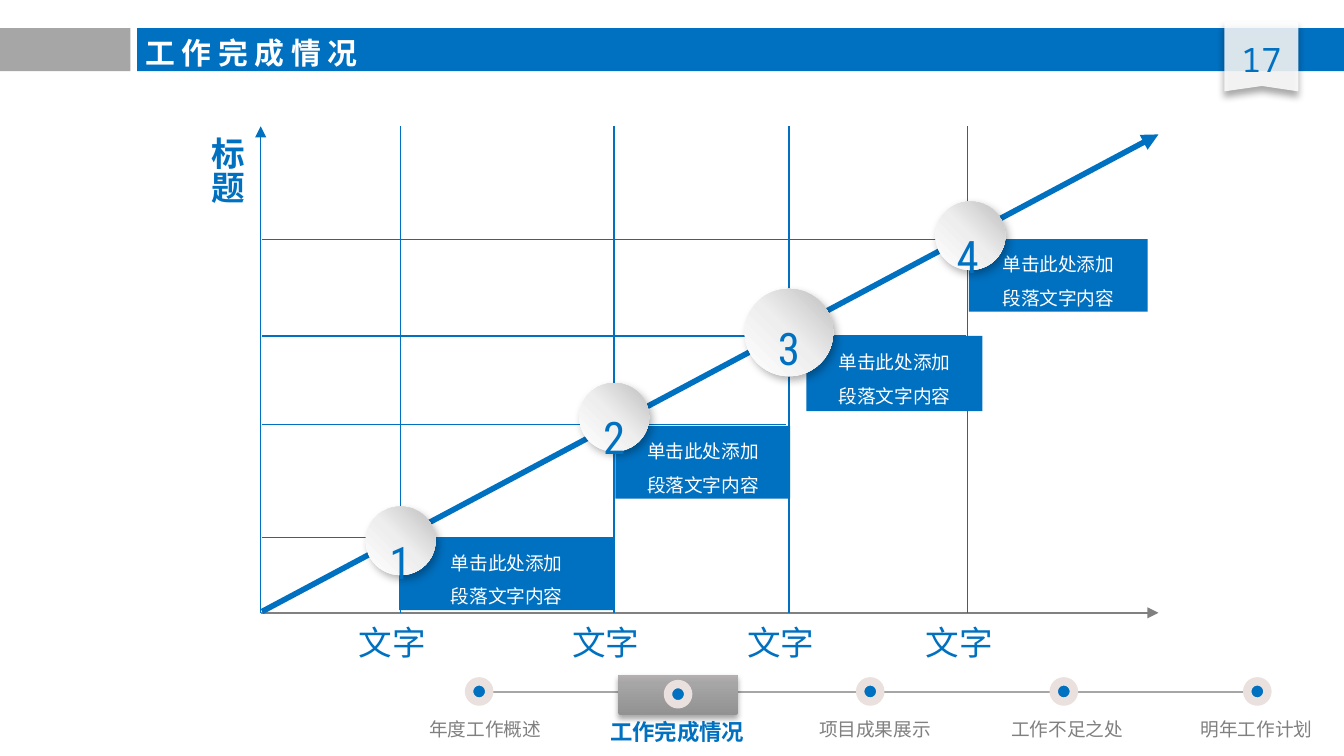
from lxml import etree
from pptx import Presentation
from pptx.dml.color import RGBColor
from pptx.enum import shapes, text
from pptx.oxml import parse_xml
from pptx.oxml.ns import nsdecls, qn
from pptx.util import Emu, Pt

SCALE = 9144
BLUE = RGBColor(0x00, 0x70, 0xC0)
GRAY = RGBColor(0xA6, 0xA6, 0xA6)
DARK = RGBColor(0x80, 0x80, 0x80)
RING = RGBColor(0xEA, 0xE0, 0xDE)
WHITE = RGBColor(0xFF, 0xFF, 0xFF)
BALL = ((0, "FFFFFF"), (50, "EEEEEE"), (100, "BFBFBF"))
STEEL = ((0, "939292"), (80, "A6A6A7"), (100, "B6B0B2"))
CJK = "Noto Sans CJK SC"
ROBOTO = "Roboto Condensed"
SHAPE = shapes.MSO_SHAPE
ALIGN = text.PP_ALIGN
ANCHOR = text.MSO_ANCHOR

STEPS = (
    ("1", 298, 456, 400, (297, 400, 160, 54), (272, 377, 52, 51), 393),
    ("2", 457, 585, 316, (458, 317, 130, 54), (431, 285, 52, 51), 300),
    ("3", 587, 719, 250, (600, 250, 131, 56), (554, 215, 66, 65), 234),
    ("4", 720, 850, 178, (721, 178, 133, 54), (696, 150, 52, 51), 165),
)
STATIONS = (
    ("年度工作概述", 357, 361),
    ("工作完成情况", 505, 504),
    ("项目成果展示", 648, 651),
    ("工作不足之处", 792, 794),
    ("明年工作计划", 936, 935),
)


def px(n):
    """Turn px into EMU."""
    return Emu(n * SCALE)


def shape(s, kind, box, fill=None):
    """Add a preset shape without outline or shadow."""
    sp = s.shapes.add_shape(kind, *map(px, box))
    sp.shadow.inherit = False
    sp.line.fill.background()
    if fill is not None:
        sp.fill.solid()
        sp.fill.fore_color.rgb = fill
    return sp


def gradient(sp, stops, angle):
    """Give a shape a linear gradient fill."""
    gs = "".join(f'<a:gs pos="{pos * 1000}"><a:srgbClr val="{c}"/></a:gs>' for pos, c in stops)
    sp.element.spPr.find(qn("a:prstGeom")).addnext(parse_xml(
        f'<a:gradFill {nsdecls("a")} rotWithShape="1"><a:gsLst>{gs}</a:gsLst>'
        f'<a:lin ang="{angle * 60000}" scaled="0"/></a:gradFill>'))


def shadow(sp, alpha, blur, dist, angle):
    """Give a shape a black outer shadow."""
    effects = sp.element.spPr.find(qn("a:effectLst"))
    effects.append(parse_xml(
        f'<a:outerShdw {nsdecls("a")} blurRad="{Pt(blur)}" dist="{Pt(dist)}" '
        f'dir="{angle * 60000}" algn="ctr" rotWithShape="0"><a:srgbClr val="000000">'
        f'<a:alpha val="{alpha * 1000}"/></a:srgbClr></a:outerShdw>'))


def line(s, start, end, color=BLUE, width=0.75, arrow=False):
    """Add a straight line, with an arrowhead at its end if wanted."""
    c = s.shapes.add_connector(shapes.MSO_CONNECTOR.STRAIGHT, *map(px, (*start, *end)))
    c.line.color.rgb = color
    c.line.width = Pt(width)
    if arrow:
        etree.SubElement(c.element.spPr.find(qn("a:ln")), qn("a:tailEnd"), type="triangle")
    etree.SubElement(c.element.spPr, qn("a:effectLst"))


def write(sp, words, size, color, font=CJK, bold=False, align=ALIGN.CENTER, spacing=None):
    """Fill a shape with formatted text."""
    tf = sp.text_frame
    tf.text = words
    for p in tf.paragraphs:
        p.alignment = align
        if spacing:
            p.line_spacing = spacing
        for r in p.runs:
            r.font.size = Pt(size)
            r.font.bold = bold
            r.font.name = font
            r.font.color.rgb = color
            etree.SubElement(r.font._element, qn("a:ea"), typeface=CJK)
    return tf


def label(s, box, words, size, color, wrap=True, inset=(10, 5), **style):
    """Add a text box."""
    sp = s.shapes.add_textbox(*map(px, box))
    tf = write(sp, words, size, color, **style)
    tf.word_wrap = wrap
    tf.margin_left = tf.margin_right = px(inset[0])
    tf.margin_top = tf.margin_bottom = px(inset[1])
    return tf


def header(s, box, words, number):
    """Draw the title band with its page ribbon."""
    x, y, w, h = box
    bands = (shape(s, SHAPE.RECTANGLE, (x, y, 97, h), GRAY),
             shape(s, SHAPE.RECTANGLE, (x + 102, y, w - 102, h), BLUE))
    title = s.shapes.title
    for band in bands:
        title.element.addprevious(band.element)
    title.left, title.top, title.width, title.height = map(px, (x + 98, y, 228, 37))
    tf = write(title, words, 16, WHITE, font="Calibri", bold=True, align=ALIGN.LEFT)
    tf.auto_size = text.MSO_AUTO_SIZE.NONE
    tf.vertical_anchor = ANCHOR.MIDDLE

    left, top, right, bottom = x + 911, y - 5, x + 966, y + 47
    fb = s.shapes.build_freeform(left, bottom, scale=SCALE)
    fb.add_line_segments(((left, top), (right, top), (right, bottom), (x + 939, bottom - 4)))
    ribbon = fb.convert_to_shape()
    ribbon.shadow.inherit = False
    ribbon.line.fill.background()
    ribbon.fill.solid()
    ribbon.fill.fore_color.rgb = WHITE
    clr = ribbon.element.spPr.find(qn("a:solidFill"))[0]
    etree.SubElement(clr, qn("a:alpha"), val="85000")
    shadow(ribbon, 40, 4, 3, 90)
    label(s, (left, y + 4, 55, 38), number, 18, BLUE, inset=(7, 4), font="Noto Sans Mono")


def chart(s, box):
    """Draw the axes, grid and four rising steps."""
    x, y, w, h = box
    base = y + h
    for _, _, end, level, *_ in STEPS:
        line(s, (end, level), (x + 1, level))
    for _, _, _, _, panel, *_ in STEPS:
        sp = shape(s, SHAPE.RECTANGLE, panel, BLUE)
        tf = write(sp, "单击此处添加\n段落文字内容", 10, WHITE, spacing=1.5)
        tf.vertical_anchor = ANCHOR.MIDDLE
    line(s, (x, base), (x + w, base), DARK, arrow=True)
    line(s, (x, base), (x, y), arrow=True)
    line(s, (x + 1, base - 1), (x + w, y + 6), width=3, arrow=True)
    for _, column, *_ in STEPS:
        line(s, (column, base), (column, y))
    for digit, column, _, _, _, ball, top in STEPS:
        sp = shape(s, SHAPE.OVAL, ball)
        gradient(sp, BALL, 315)
        shadow(sp, 30, 4.5, 2.6, 53)
        label(s, (column - 9, top, 18, 20), digit, 24, BLUE,
              wrap=False, inset=(0, 5), font=ROBOTO)
        label(s, (column - 41, base + 2, 82, 40), "文字", 18, BLUE,
              font=ROBOTO, align=ALIGN.LEFT)
    tf = label(s, (x - 55, y - 2, 50, 82), "标题", 18, BLUE, bold=True, align=ALIGN.LEFT)
    tf._txBody.bodyPr.set("vert", "eaVert")


def navigation(s, box, current):
    """Draw the row of chapter stations with the current one raised."""
    x, y, w, h = box
    line(s, (x, y + 13), (x + w, y + 13), GRAY, 1)
    for i, (words, dot, middle) in enumerate(STATIONS):
        active = i == current
        if active:
            tile = shape(s, SHAPE.ROUNDED_RECTANGLE, (dot - 45, y, 89, 30))
            tile.adjustments[0] = 0.05
            gradient(tile, STEEL, 270)
            shadow(tile, 35, 3.1, 1.8, 90)
        sp = shape(s, SHAPE.OVAL, (dot - 8, y + (7 if active else 5), 15, 15), BLUE)
        sp.line.color.rgb = RING
        sp.line.width = Pt(4.5)
        label(s, (middle - 58, y + 28, 116, h - 28), words, 12 if active else 10,
              BLUE if active else DARK, wrap=False, inset=(7, 4), bold=active)


def main():
    """Build the slide and save it."""
    prs = Presentation()
    prs.slide_width = px(1000)
    prs.slide_height = Emu(prs.slide_width * 9 // 16)
    s = prs.slides.add_slide(prs.slide_layouts[5])
    header(s, (0, 21, 1000, 32), "工 作 完 成 情 况", "17")
    navigation(s, (361, 502, 573, 56), 1)
    chart(s, (194, 94, 668, 362))
    prs.save("out.pptx")


if __name__ == "__main__":
    main()
